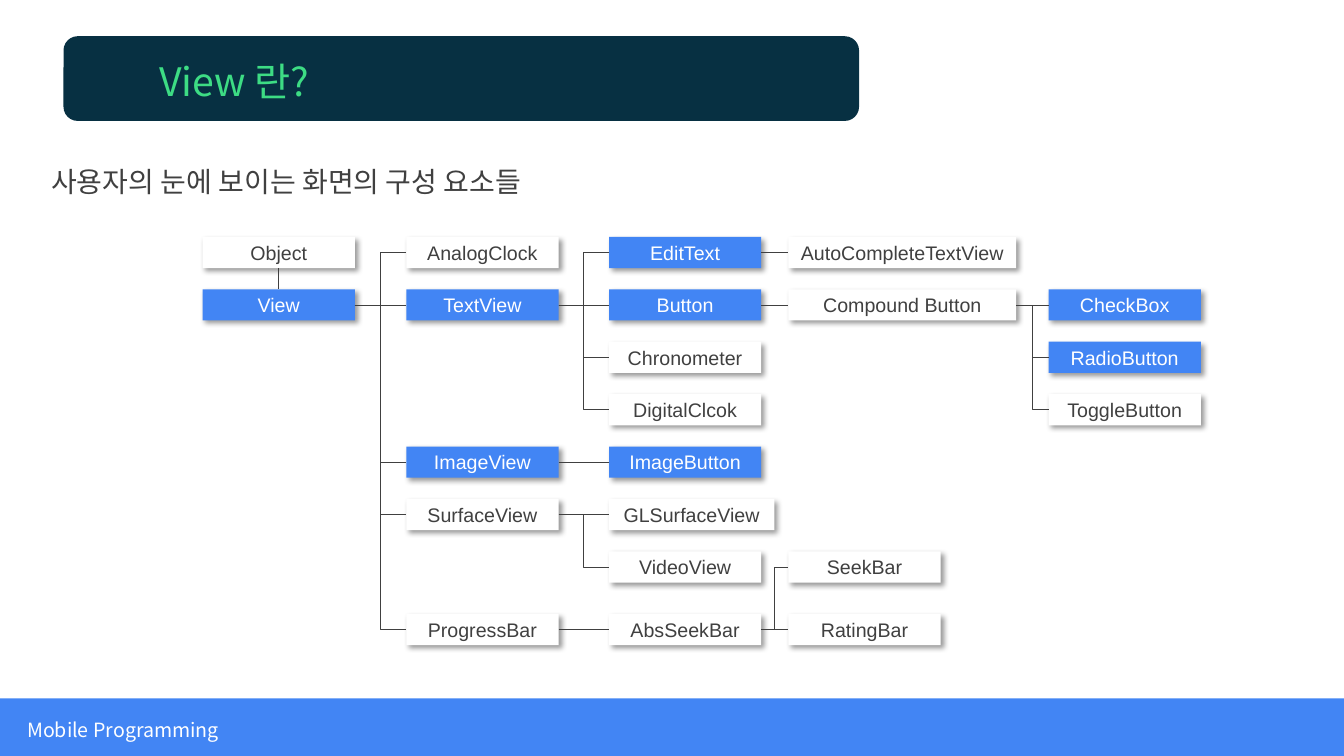
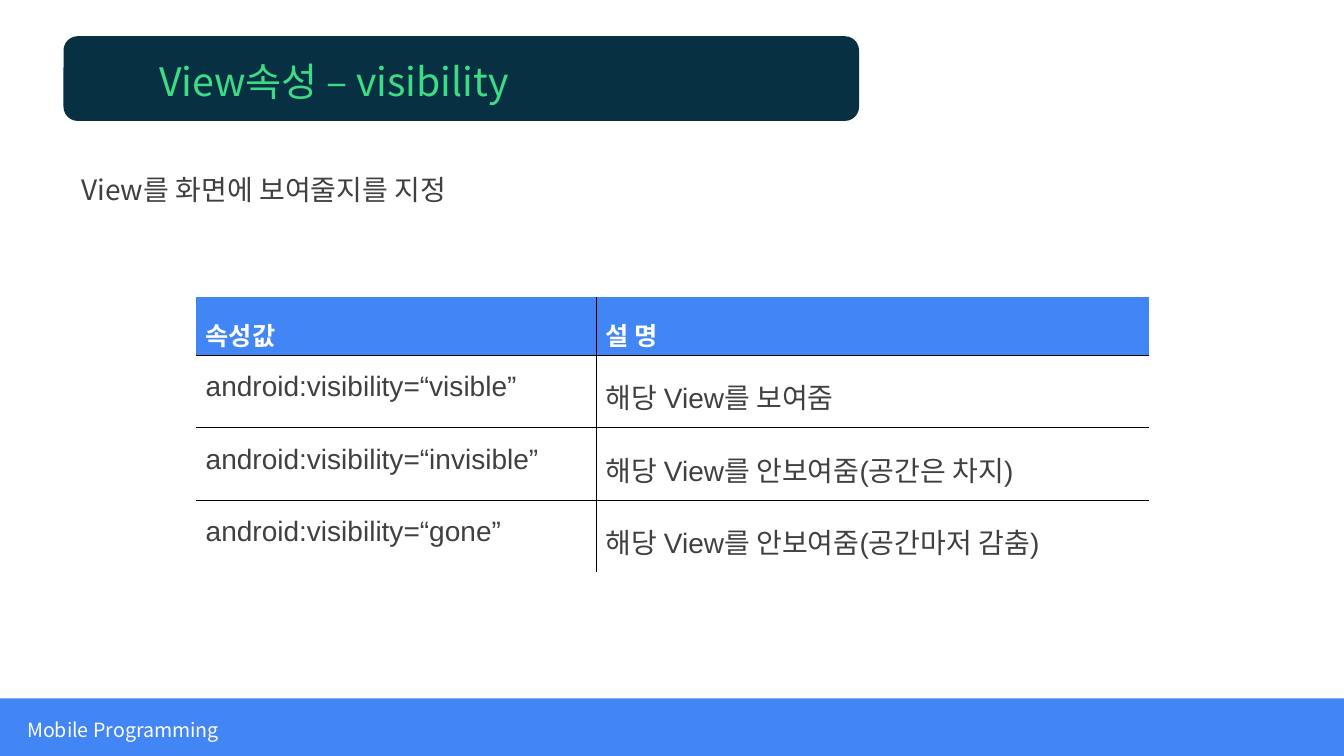
from lxml.etree import SubElement
from pptx import Presentation
from pptx.dml.color import RGBColor
from pptx.enum.shapes import MSO_CONNECTOR, MSO_SHAPE
from pptx.enum.text import MSO_ANCHOR, MSO_AUTO_SIZE, PP_ALIGN
from pptx.oxml.ns import qn
from pptx.util import Inches, Pt

COLORS = {
    "accent": "4285F4",
    "band": "073042",
    "title": "3DDC84",
    "title_edge": "1AB29D",
    "ink": "404040",
    "white": "FFFFFF",
    "rule": "000000",
}
KOREAN = "Noto Sans CJK KR"
LATIN = "Arial"

COLUMNS = [0, 2.02, 4.03, 5.81, 8.39]
ROWS = [0.52 * step for step in range(7)] + [3.74]
NODE_WIDTH, NODE_HEIGHT = 1.51, 0.31
WIDE = 2.26

CLASSES = [
    ("Object", None, 0, 0, False, NODE_WIDTH),
    ("View", "Object", 0, 1, True, NODE_WIDTH),
    ("AnalogClock", "View", 1, 0, False, NODE_WIDTH),
    ("TextView", "View", 1, 1, True, NODE_WIDTH),
    ("ImageView", "View", 1, 4, True, NODE_WIDTH),
    ("SurfaceView", "View", 1, 5, False, NODE_WIDTH),
    ("ProgressBar", "View", 1, 7, False, NODE_WIDTH),
    ("EditText", "TextView", 2, 0, True, NODE_WIDTH),
    ("Button", "TextView", 2, 1, True, NODE_WIDTH),
    ("Chronometer", "TextView", 2, 2, False, NODE_WIDTH),
    ("DigitalClcok", "TextView", 2, 3, False, NODE_WIDTH),
    ("ImageButton", "ImageView", 2, 4, True, NODE_WIDTH),
    ("GLSurfaceView", "SurfaceView", 2, 5, False, 1.64),
    ("VideoView", "SurfaceView", 2, 6, False, NODE_WIDTH),
    ("AbsSeekBar", "ProgressBar", 2, 7, False, NODE_WIDTH),
    ("AutoCompleteTextView", "EditText", 3, 0, False, WIDE),
    ("Compound Button", "Button", 3, 1, False, WIDE),
    ("SeekBar", "AbsSeekBar", 3, 6, False, NODE_WIDTH),
    ("RatingBar", "AbsSeekBar", 3, 7, False, NODE_WIDTH),
    ("CheckBox", "Compound Button", 4, 1, True, NODE_WIDTH),
    ("RadioButton", "Compound Button", 4, 2, True, NODE_WIDTH),
    ("ToggleButton", "Compound Button", 4, 3, False, NODE_WIDTH),
]

VISIBILITY = [
    ("속성값", "설 명"),
    ("android:visibility=“visible”", "해당 View를 보여줌"),
    ("android:visibility=“invisible”", "해당 View를 안보여줌(공간은 차지)"),
    ("android:visibility=“gone”", "해당 View를 안보여줌(공간마저 감춤)"),
]


def rgb(name):
    return RGBColor.from_string(COLORS[name])


def add_solid(parent, color, alpha=None):
    fill = SubElement(parent, qn("a:solidFill"))
    tint = SubElement(fill, qn("a:srgbClr"), val=COLORS[color])
    if alpha:
        SubElement(tint, qn("a:alpha"), val=str(alpha * 1000))


def write(frame, text, *, size, color, font=KOREAN, bold=False,
          align=PP_ALIGN.LEFT, spacing=None, edge=None):
    paragraph = frame.paragraphs[0]
    paragraph.alignment = align
    if spacing:
        paragraph.line_spacing = spacing
    run = paragraph.add_run()
    run.text = text
    run.font.size = Pt(size)
    run.font.bold = bold
    run.font.name = font
    run.font.color.rgb = rgb(color)
    properties = run._r.get_or_add_rPr()
    SubElement(properties, qn("a:ea"), typeface=KOREAN)
    if edge:
        outline = SubElement(properties, qn("a:ln"), w=str(Pt(0.75)))
        properties.insert(0, outline)
        add_solid(outline, edge, 30)


def add_block(slide, kind, left, top, width, height, color):
    block = slide.shapes.add_shape(
        kind, Inches(left), Inches(top), Inches(width), Inches(height))
    block.shadow.inherit = False
    block.fill.solid()
    block.fill.fore_color.rgb = rgb(color)
    block.line.fill.background()
    return block


def add_label(slide, text, left, top, width, height, **style):
    label = slide.shapes.add_textbox(
        Inches(left), Inches(top), Inches(width), Inches(height))
    label.text_frame.word_wrap = True
    write(label.text_frame, text, **style)


def add_title_band(slide, text, left, top):
    add_block(slide, MSO_SHAPE.ROUNDED_RECTANGLE, left, top, 7.89, 0.84, "band")
    title = slide.shapes.title
    title.left, title.top = Inches(left + 0.85), Inches(top + 0.16)
    title.width, title.height = Inches(6.8), Inches(0.57)
    frame = title.text_frame
    frame.auto_size = MSO_AUTO_SIZE.NONE
    frame.vertical_anchor = MSO_ANCHOR.TOP
    write(frame, text, size=28, color="title", edge="title_edge")
    title._element.getparent().append(title._element)


def add_footer(slide, left, top):
    add_block(slide, MSO_SHAPE.RECTANGLE, left, top, 13.33, 0.57, "accent")
    add_label(slide, "Mobile Programming", left + 0.17, top + 0.14, 2.62, 0.34,
              size=14, color="white")


def add_content_slide(deck, title, lead, lead_left, lead_top):
    slide = deck.slides.add_slide(deck.slide_layouts[5])
    add_title_band(slide, title, 0.63, 0.36)
    add_label(slide, lead, lead_left, lead_top, 9.66, 0.44,
              size=20, color="ink", edge="ink")
    add_footer(slide, 0, 6.93)
    return slide


def add_class_node(slide, name, left, top, width, highlighted):
    node = add_block(slide, MSO_SHAPE.RECTANGLE, left, top, width, NODE_HEIGHT,
                     "accent" if highlighted else "white")
    effects = node._element.spPr.find(qn("a:effectLst"))
    shadow = SubElement(effects, qn("a:outerShdw"), blurRad=str(Pt(4)),
                        dist=str(Pt(3)), dir="2700000", algn="tl",
                        rotWithShape="0")
    tint = SubElement(shadow, qn("a:srgbClr"), val=COLORS["rule"])
    SubElement(tint, qn("a:alpha"), val="40000")
    frame = node.text_frame
    frame.margin_left = frame.margin_right = 0
    frame.margin_top = frame.margin_bottom = 0
    frame.vertical_anchor = MSO_ANCHOR.MIDDLE
    write(frame, name, size=14, font=LATIN, align=PP_ALIGN.CENTER,
          color="white" if highlighted else "ink")
    return node


def join_classes(slide, parent, child):
    stacked = parent.left == child.left
    straight = stacked or parent.top == child.top
    kind = MSO_CONNECTOR.STRAIGHT if straight else MSO_CONNECTOR.ELBOW
    if stacked:
        middle = parent.left + parent.width // 2
        ends = middle, parent.top + parent.height, middle, child.top
    else:
        ends = (parent.left + parent.width, parent.top + parent.height // 2,
                child.left, child.top + child.height // 2)
    branch = slide.shapes.add_connector(kind, *ends)
    branch.begin_connect(parent, 2 if stacked else 3)
    branch.end_connect(child, 0 if stacked else 1)
    branch.line.color.rgb = rgb("ink")
    branch.line.width = Pt(0.5)
    SubElement(branch._element.spPr, qn("a:effectLst"))


def add_hierarchy(slide, left, top):
    nodes = {}
    for name, _, column, row, highlighted, width in CLASSES:
        nodes[name] = add_class_node(slide, name, left + COLUMNS[column],
                                     top + ROWS[row], width, highlighted)
    for name, parent, *_ in CLASSES:
        if parent:
            join_classes(slide, nodes[parent], nodes[name])


def set_borders(cell, visible):
    properties = cell._tc.get_or_add_tcPr()
    for position, side in enumerate("LRTB"):
        border = SubElement(properties, qn(f"a:ln{side}"), w=str(Pt(0.25)))
        properties.insert(position, border)
        if side in visible:
            add_solid(border, "rule")
        else:
            SubElement(border, qn("a:noFill"))


def add_visibility_table(slide, left, top):
    widths, heights = [3.97, 5.49], [0.57, 0.72, 0.72, 0.72]
    table = slide.shapes.add_table(
        len(heights), len(widths), Inches(left), Inches(top),
        Inches(sum(widths)), Inches(sum(heights))).table
    table.first_row = table.horz_banding = False
    for column, width in zip(table.columns, widths):
        column.width = Inches(width)
    for row, height in zip(table.rows, heights):
        row.height = Inches(height)
    for r, values in enumerate(VISIBILITY):
        header = r == 0
        for c, value in enumerate(values):
            cell = table.cell(r, c)
            cell.margin_top = cell.margin_bottom = Inches(0.01)
            if header:
                cell.fill.solid()
                cell.fill.fore_color.rgb = rgb("accent")
            else:
                cell.fill.background()
            visible = "R" if c == 0 else "L"
            visible += "" if header else "T"
            visible += "B" if r < len(VISIBILITY) - 1 else ""
            set_borders(cell, visible)
            write(cell.text_frame, value, size=18 if header else 20,
                  color="white" if header else "ink", font=LATIN,
                  bold=header, spacing=1.5)


def main():
    deck = Presentation()
    deck.slide_width, deck.slide_height = Inches(13.33), Inches(7.5)
    overview = add_content_slide(
        deck, "View 란?", "사용자의 눈에 보이는 화면의 구성 요소들", 0.41, 1.58)
    add_hierarchy(overview, 2.01, 2.35)
    visibility = add_content_slide(
        deck, "View속성 – visibility", "View를 화면에 보여줄지를 지정", 0.71, 1.66)
    add_visibility_table(visibility, 1.94, 2.95)
    deck.save("out.pptx")


if __name__ == "__main__":
    main()
